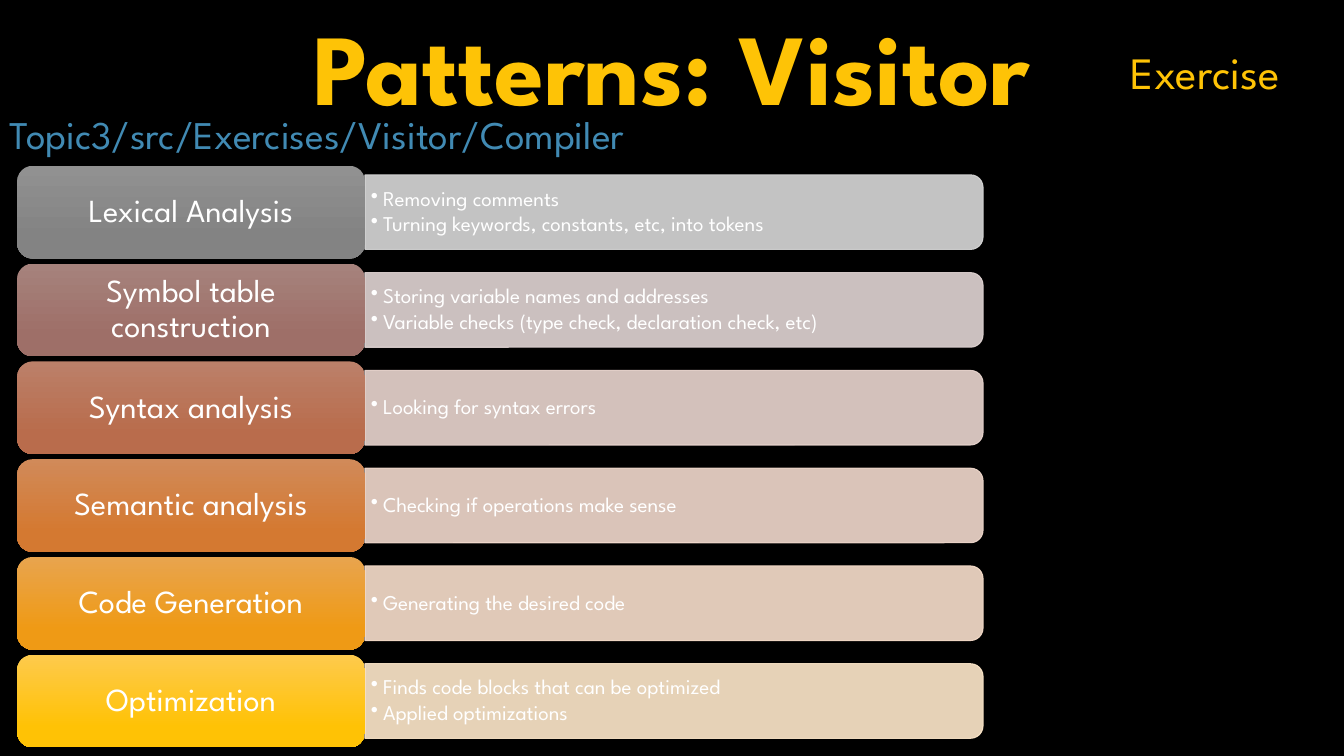
from dataclasses import dataclass

import pptx
import pptx.dml.color
import pptx.enum.shapes
import pptx.enum.text
import pptx.oxml
import pptx.oxml.ns
import pptx.util
from pptx.util import Inches

Align = pptx.enum.text.PP_ALIGN
Anchor = pptx.enum.text.MSO_ANCHOR
Preset = pptx.enum.shapes.MSO_SHAPE


@dataclass(frozen=True)
class Theme:
    font: str = "League Spartan"
    background: str = "000000"
    gold: str = "FEC306"
    blue: str = "418AB3"
    white: str = "FFFFFF"
    title_size: int = 72
    tag_size: int = 32
    location_size: int = 28
    phase_size: int = 23
    detail_size: int = 15


@dataclass(frozen=True)
class Heading:
    text: str
    left: float
    top: float
    height: float
    size: int
    color: str
    align: Align
    bold: bool = False


@dataclass(frozen=True)
class Phase:
    name: str
    details: tuple[str, ...]
    light: str
    dark: str
    panel: str


THEME = Theme()
SLIDE_WIDTH, SLIDE_HEIGHT = 13.33, 7.5

HEADINGS = (
    Heading("Patterns: Visitor", 0, 0, 1.31, THEME.title_size, THEME.gold, Align.CENTER, True),
    Heading("Exercise", 5.29, 0.39, 0.64, THEME.tag_size, THEME.gold, Align.CENTER),
    Heading("Topic3/src/Exercises/Visitor/Compiler", 0, 1.05, 0.57,
            THEME.location_size, THEME.blue, Align.LEFT),
)

PHASES = (
    Phase("Lexical Analysis",
          ("Removing comments", "Turning keywords, constants, etc, into tokens"),
          "919191", "838383", "D9D9D9"),
    Phase("Symbol table construction",
          ("Storing variable names and addresses",
           "Variable checks (type check, declaration check, etc)"),
          "A6827C", "9E6F68", "E2D5D4"),
    Phase("Syntax analysis", ("Looking for syntax errors",), "BB8069", "B96C4C", "EBD7D0"),
    Phase("Semantic analysis", ("Checking if operations make sense",),
          "D18A59", "D47931", "F2DACE"),
    Phase("Code Generation", ("Generating the desired code",), "E8A44E", "EF9A15", "F9DFCC"),
    Phase("Optimization", ("Finds code blocks that can be optimized", "Applied optimizations"),
          "FECA4C", "FFC205", "FFE9CB"),
)

# Phase rows
ROW_TOP, ROW_PITCH = 1.645, 0.97
LABEL_LEFT, LABEL_WIDTH, LABEL_HEIGHT = 0.17, 3.45, 0.92
PANEL_LEFT, PANEL_WIDTH, PANEL_HEIGHT = 3.62, 6.13, 0.74
DETAIL_WIDTH, DETAIL_HEIGHT = 6.1, 0.67
BULLET_INDENT = 0.12
PANEL_OPACITY = 90


def rgb(value: str) -> pptx.dml.color.RGBColor:
    return pptx.dml.color.RGBColor.from_string(value)


def style_paragraph(para, size: int, color: str, align: Align, bold: bool = False) -> None:
    para.alignment = align
    para.font.name = THEME.font
    para.font.size = pptx.util.Pt(size)
    para.font.bold = bold
    para.font.color.rgb = rgb(color)


def set_frame(frame, side: float, edge: float) -> None:
    frame.word_wrap = True
    frame.vertical_anchor = Anchor.MIDDLE
    frame.margin_left = frame.margin_right = Inches(side)
    frame.margin_top = frame.margin_bottom = Inches(edge)


def add_bullet(para) -> None:
    properties = para._p.get_or_add_pPr()
    properties.set("marL", str(Inches(BULLET_INDENT)))
    properties.set("indent", str(-Inches(BULLET_INDENT)))
    bullet = pptx.oxml.parse_xml(
        f'<a:buChar {pptx.oxml.ns.nsdecls("a")} char="•"/>')
    properties.append(bullet)


def set_opacity(color_format_parent, percent: int) -> None:
    for color in color_format_parent.iter(pptx.oxml.ns.qn("a:srgbClr")):
        alpha = pptx.oxml.parse_xml(
            f'<a:alpha {pptx.oxml.ns.nsdecls("a")} val="{percent * 1000}"/>')
        color.append(alpha)


def add_heading(page, heading: Heading) -> None:
    box = page.shapes.add_textbox(Inches(heading.left), Inches(heading.top),
                                  Inches(SLIDE_WIDTH), Inches(heading.height))
    box.text_frame.word_wrap = True
    para = box.text_frame.paragraphs[0]
    para.text = heading.text
    style_paragraph(para, heading.size, heading.color, heading.align, heading.bold)


def add_panel(page, phase: Phase, middle: float) -> None:
    # Upright shape turned a quarter, so its rounded end faces right
    center = PANEL_LEFT + PANEL_WIDTH / 2
    panel = page.shapes.add_shape(
        Preset.ROUND_2_SAME_RECTANGLE,
        Inches(center - PANEL_HEIGHT / 2), Inches(middle - PANEL_WIDTH / 2),
        Inches(PANEL_HEIGHT), Inches(PANEL_WIDTH))
    panel.rotation = 90
    panel.shadow.inherit = False
    panel.fill.solid()
    panel.fill.fore_color.rgb = rgb(phase.panel)
    panel.line.color.rgb = rgb(phase.panel)
    panel.line.width = pptx.util.Pt(0.75)
    set_opacity(panel._element.spPr, PANEL_OPACITY)


def add_details(page, phase: Phase, middle: float) -> None:
    box = page.shapes.add_textbox(Inches(PANEL_LEFT), Inches(middle - DETAIL_HEIGHT / 2),
                                  Inches(DETAIL_WIDTH), Inches(DETAIL_HEIGHT))
    frame = box.text_frame
    set_frame(frame, 0.06, 0.03)
    frame.text = "\n".join(phase.details)
    for para in frame.paragraphs:
        para.level = 1
        add_bullet(para)
        para.line_spacing = 0.9
        para.space_after = pptx.util.Pt(2.25)
        style_paragraph(para, THEME.detail_size, THEME.white, Align.LEFT)


def add_label(page, phase: Phase, middle: float) -> None:
    label = page.shapes.add_shape(
        Preset.ROUNDED_RECTANGLE, Inches(LABEL_LEFT), Inches(middle - LABEL_HEIGHT / 2),
        Inches(LABEL_WIDTH), Inches(LABEL_HEIGHT))
    label.shadow.inherit = False
    label.line.fill.background()
    label.fill.gradient()
    label.fill.gradient_angle = 270
    stops = label.fill.gradient_stops
    for stop, color, position in zip(stops, (phase.light, phase.dark), (0, 0.78)):
        stop.color.rgb = rgb(color)
        stop.position = position
    set_frame(label.text_frame, 0.1, 0.05)
    para = label.text_frame.paragraphs[0]
    para.text = phase.name
    para.line_spacing = 0.9
    style_paragraph(para, THEME.phase_size, THEME.white, Align.CENTER)


def main() -> None:
    deck = pptx.Presentation()
    deck.slide_width, deck.slide_height = Inches(SLIDE_WIDTH), Inches(SLIDE_HEIGHT)
    page = deck.slides.add_slide(deck.slide_layouts[6])
    page.background.fill.solid()
    page.background.fill.fore_color.rgb = rgb(THEME.background)

    # Title, tag and source location
    for heading in HEADINGS:
        add_heading(page, heading)

    # One row per compiler phase
    for index, phase in enumerate(PHASES):
        middle = ROW_TOP + index * ROW_PITCH + LABEL_HEIGHT / 2
        add_panel(page, phase, middle)
        add_details(page, phase, middle)
        add_label(page, phase, middle)

    deck.save("out.pptx")


if __name__ == "__main__":
    main()
